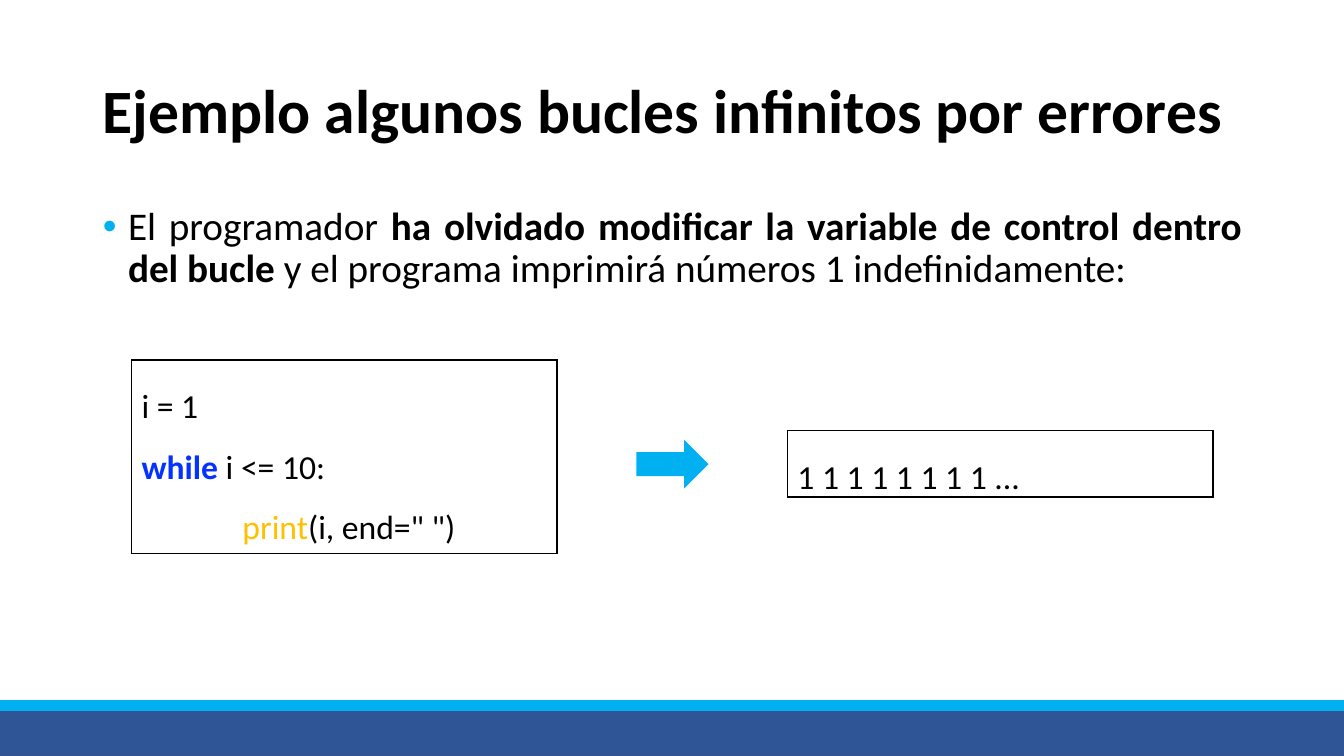
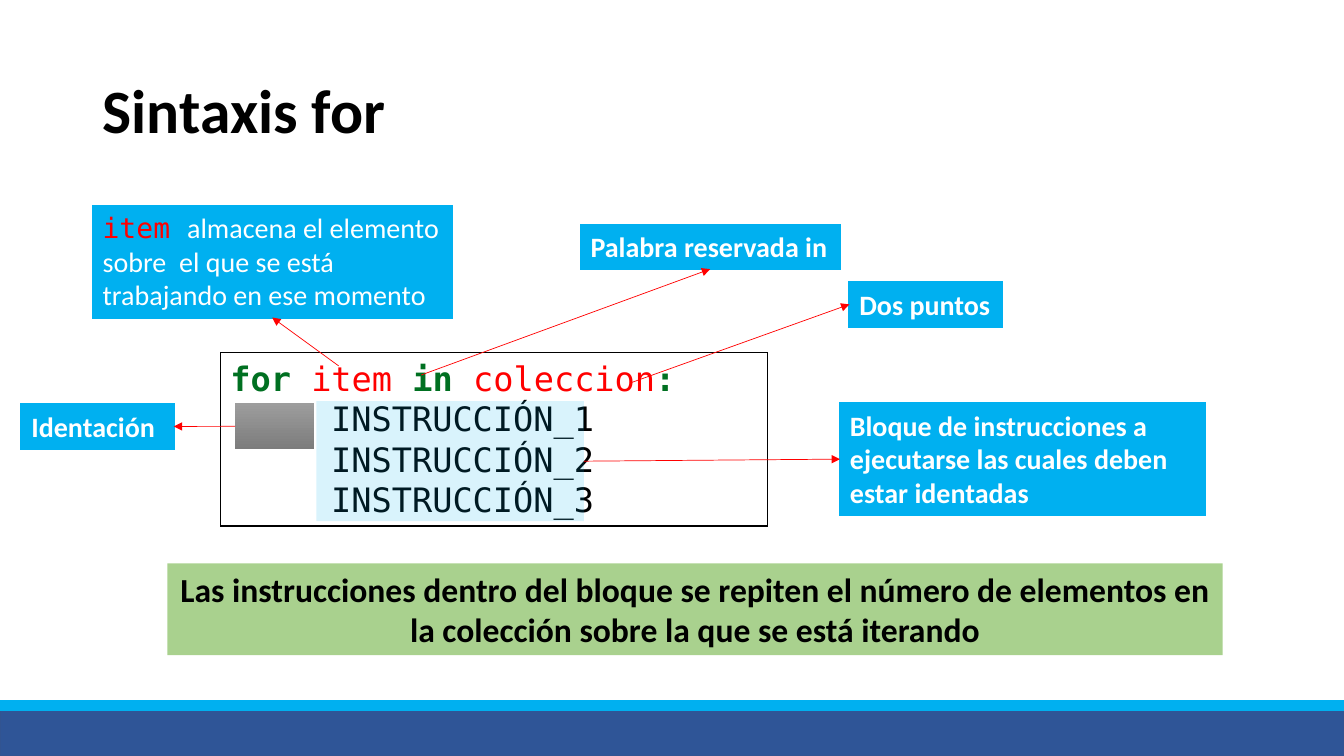
from lxml.etree import SubElement
from pptx import Presentation
from pptx.dml.color import RGBColor
from pptx.enum.shapes import MSO_CONNECTOR, MSO_SHAPE
from pptx.enum.text import MSO_ANCHOR, MSO_AUTO_SIZE, PP_ALIGN
from pptx.oxml.ns import qn
from pptx.util import Inches, Pt

HUES = {
    "navy": "2F5597", "edge": "325491", "sky": "00B0F0", "white": "FFFFFF",
    "black": "000000", "red": "FF0000", "green": "007021", "blue": "0432FF",
    "gold": "FFC000", "lime": "A9D18E", "ash": "9D9D9D", "lead": "7C7C7C",
}
RGB = {name: RGBColor.from_string(code) for name, code in HUES.items()}
SANS, MONO = "Calibri", "DejaVu Sans Mono"
TAB = Inches(1)

prs = Presentation()
prs.slide_width, prs.slide_height = Inches(13.33), Inches(7.5)
COL, ROW = prs.slide_width / 100, prs.slide_height / 100


def box(slide, spot, fill, line=None, width=1, kind=MSO_SHAPE.RECTANGLE):
    """Draw a filled shape; spot is left, top, width, height in columns and rows."""
    left, top, wide, high = spot
    shape = slide.shapes.add_shape(
        kind, int(left * COL), int(top * ROW), int(wide * COL), int(high * ROW))
    shape.shadow.inherit = False
    shape.fill.solid()
    shape.fill.fore_color.rgb = RGB[fill]
    if line:
        shape.line.color.rgb = RGB[line]
        shape.line.width = Pt(width)
        SubElement(shape.line._get_or_add_ln(), qn("a:miter"), lim="800000")
    else:
        shape.line.fill.background()
    return shape


def write(shape, lines, size, wrap=True, anchor=MSO_ANCHOR.TOP,
          fit=MSO_AUTO_SIZE.SHAPE_TO_FIT_TEXT, **form):
    """Fill a shape with lines of runs: (text, colour, bold, font)."""
    frame = shape.text_frame
    looks = {"word_wrap": wrap, "vertical_anchor": anchor, "auto_size": fit}
    for key, value in looks.items():
        setattr(frame, key, value)
    for num, runs in enumerate(lines):
        para = frame.add_paragraph() if num else frame.paragraphs[0]
        if runs[0][0].startswith("\t"):
            tabs = SubElement(para._p.get_or_add_pPr(), qn("a:tabLst"))
            SubElement(tabs, qn("a:tab"), pos=str(TAB), algn="l")
        for key, value in {"alignment": PP_ALIGN.LEFT, **form}.items():
            setattr(para, key, value)
        for text, hue, bold, name in runs:
            run = para.add_run()
            run.text = text
            for key, value in {"size": Pt(size), "bold": bold, "name": name}.items():
                setattr(run.font, key, value)
            run.font.color.rgb = RGB[hue]


# Shared master: places of title and body, bands at the foot
master = prs.slide_master
spots = [(6.9, 5.33, 86.25, 19.33), (6.9, 26.67, 86.25, 63.47)]
for holder, (left, top, wide, high) in zip(master.placeholders, spots):
    holder.left, holder.top = int(left * COL), int(top * ROW)
    holder.width, holder.height = int(wide * COL), int(high * ROW)

titles = [(1, "Ejemplo algunos bucles infinitos por errores"), (5, "Sintaxis for")]
slides = []
for layout, text in titles:
    slide = prs.slides.add_slide(prs.slide_layouts[layout])
    write(slide.shapes.title, [[(text, "black", True, SANS)]], 44,
          anchor=MSO_ANCHOR.MIDDLE, fit=MSO_AUTO_SIZE.NONE, line_spacing=0.9)
    slides.append(slide)
loop, syntax = slides

bands = [((0, 93.7, 100, 6.3), "navy", "edge"), ((0, 92.67, 100, 1.33), "sky", "sky")]
for num, band in enumerate(bands):
    master.shapes.element.insert(2 + num, box(loop, *band).element)

# Slide 1: endless loop
body = loop.placeholders[1]
props = body.text_frame.paragraphs[0]._p.get_or_add_pPr()
props.set("marL", str(Inches(0.25)))
props.set("indent", str(-Inches(0.25)))
SubElement(SubElement(props, qn("a:buClr")), qn("a:srgbClr"), val=HUES["sky"])
SubElement(props, qn("a:buChar"), char="•")
write(body, [[
    ("El programador ", "black", False, SANS),
    ("ha olvidado modificar la variable de control dentro del bucle", "black", True, SANS),
    (" y el programa imprimirá números 1 indefinidamente:", "black", False, SANS),
]], 28, fit=MSO_AUTO_SIZE.NONE, alignment=PP_ALIGN.JUSTIFY,
    line_spacing=0.9, space_before=Pt(0))

code = [
    [("i = 1", "black", False, SANS)],
    [("while ", "blue", True, SANS), ("i <= 10:", "black", False, SANS)],
    [("\t", "black", False, SANS), ("print", "gold", False, SANS),
     ('(i, end=" ")', "black", False, SANS)],
]
result = [[("1 1 1 1 1 1 1 1 ...", "black", False, SANS)]]
for spot, lines in [((9.8, 47.6, 31.65, 25.6), code), ((58.6, 56.93, 31.65, 8.8), result)]:
    write(box(loop, spot, "white", "black"), lines, 24, line_spacing=1.5)
box(loop, (47.4, 58.4, 5.25, 6), "sky", "sky", kind=MSO_SHAPE.RIGHT_ARROW)

# Slide 2: parts of the for statement
head = [("for ", "green", True, MONO), ("item ", "red", False, MONO),
        ("in ", "green", True, MONO), ("coleccion", "red", False, MONO),
        (":", "green", True, MONO)]
steps = [[(f"\tINSTRUCCIÓN_{num}", "black", False, MONO)] for num in (1, 2, 3)]
write(box(syntax, (16.4, 46.67, 40.7, 22.9), "white", "black"), [head] + steps, 24)

block = box(syntax, (23.55, 53.07, 19.9, 15.87), "sky")
tint = block.fill._xPr.find(qn("a:solidFill")).find(qn("a:srgbClr"))
SubElement(tint, qn("a:alpha"), val="15000")

indent = box(syntax, (17.5, 53.33, 5.9, 6.13), "ash")
indent.fill.gradient()
indent.fill.gradient_angle = 270
for stop, hue in zip(indent.fill.gradient_stops, ("ash", "lead")):
    stop.color.rgb = RGB[hue]

item = [
    [("item ", "red", False, MONO), ("almacena el elemento", "white", False, SANS)],
    [("sobre  el que se está", "white", False, SANS)],
    [("trabajando en ese momento", "white", False, SANS)],
]
names = ["Bloque de instrucciones a ejecutarse las cuales deben estar identadas",
         "Dos puntos", "Palabra reservada in", "Identación"]
many, colon, word, inset = [[[(name, "white", True, SANS)]] for name in names]

# Each label: place, text, wrap, start of its arrow (shape and side, or point), side it meets
labels = [
    ((62.5, 53.33, 27.15, 14.8), many, True, (block, 3), 1),
    ((63.2, 37.33, 11.33, 5.87), colon, False, (46.88, 50.67), 1),
    ((43.2, 29.73, 19.28, 5.87), word, False, (31.35, 49.6), 2),
    ((6.9, 27.2, 26.7, 14.8), item, False, (25.2, 48.4), 2),
    ((1.6, 53.47, 11.33, 5.87), inset, True, (indent, 1), 3),
]
for spot, lines, wrap, start, side in labels:
    label = box(syntax, spot, "sky", "sky", 1.5)
    write(label, lines, 20, wrap)
    arrow = syntax.shapes.add_connector(MSO_CONNECTOR.STRAIGHT, 0, 0, 0, 0)
    if start[0] in (block, indent):
        arrow.begin_connect(*start)
    else:
        arrow.begin_x, arrow.begin_y = int(start[0] * COL), int(start[1] * ROW)
    arrow.end_connect(label, side)
    arrow.line.color.rgb = RGB["red"]
    arrow.line.width = Pt(0.5)
    SubElement(arrow.line._get_or_add_ln(), qn("a:tailEnd"), type="triangle")
    SubElement(arrow.element.spPr, qn("a:effectLst"))

note = ("Las instrucciones dentro del bloque se repiten el número de elementos "
        "en la colección sobre la que se está iterando")
write(box(syntax, (12.45, 74.53, 78.53, 12.13), "lime"),
      [[(note, "black", True, SANS)]], 24, alignment=PP_ALIGN.CENTER)

prs.save("out.pptx")
